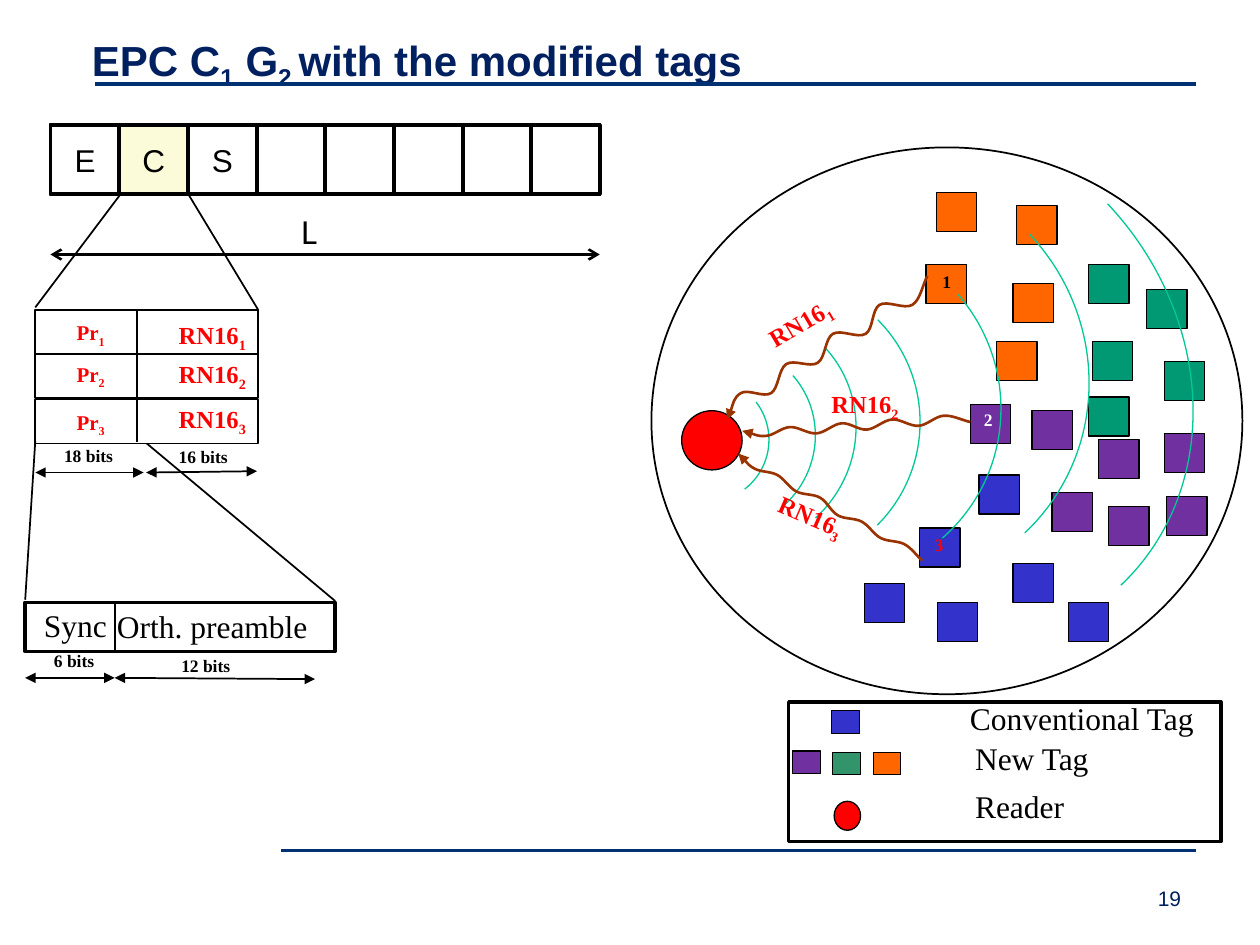
"""Build the slide on EPC C1 G2 with the modified tags."""
from dataclasses import dataclass

import pptx
import pptx.dml.color
import pptx.enum.shapes
import pptx.enum.text
import pptx.oxml.ns
import pptx.util
from lxml import etree

Inches = pptx.util.Inches
Pt = pptx.util.Pt
Shape = pptx.enum.shapes.MSO_SHAPE
Align = pptx.enum.text.PP_ALIGN
Anchor = pptx.enum.text.MSO_ANCHOR
qn = pptx.oxml.ns.qn

SERIF = "Times New Roman"
BLACK, WHITE, RED = "000000", "FFFFFF", "FF0000"
NAVY, RULE_BLUE = "002060", "003173"
ORANGE, GREEN, PURPLE, BLUE = "FF6600", "009973", "7030A0", "3333CC"
LEGEND_GREEN, ARC_GREEN, WAVE_BROWN, CREAM = "32946A", "00C896", "993300", "FCFBD9"


@dataclass
class Label:
    """Text whose every second part, split at underscores, is a subscript."""
    text: str
    left: float
    top: float
    width: float
    height: float
    size: float = 10
    color: str = BLACK
    bold: bool = True
    font: str = SERIF
    wrap: bool = False
    rotation: float = 0


@dataclass
class Line:
    start: tuple
    end: tuple
    weight: float = 1
    color: str = BLACK
    arrow: str = ""


def rgb(value: str):
    return pptx.dml.color.RGBColor.from_string(value)


def write(frame, text: str, size: float, color: str, font: str, bold: bool) -> None:
    paragraph = frame.paragraphs[0]
    for index, part in enumerate(text.split("_")):
        run = paragraph.add_run()
        run.text = part
        run.font.size, run.font.name, run.font.bold = Pt(size), font, bold
        run.font.color.rgb = rgb(color)
        if index % 2:
            run._r.get_or_add_rPr().set("baseline", "-25000")


def add_label(shapes, label: Label) -> None:
    box = shapes.add_textbox(*map(Inches, (label.left, label.top, label.width, label.height)))
    box.rotation = label.rotation
    box.text_frame.word_wrap = label.wrap
    box.text_frame.auto_size = pptx.enum.text.MSO_AUTO_SIZE.SHAPE_TO_FIT_TEXT
    write(box.text_frame, label.text, label.size, label.color, label.font, label.bold)


def paint(shape, fill: str, color: str, weight: float) -> None:
    shape.shadow.inherit = False
    if fill:
        shape.fill.solid()
        shape.fill.fore_color.rgb = rgb(fill)
    else:
        shape.fill.background()
    shape.line.color.rgb = rgb(color)
    shape.line.width = Pt(weight)


def add_figure(shapes, kind, bounds: tuple, fill: str = "", color: str = BLACK,
               weight: float = 0.75):
    figure = shapes.add_shape(kind, *map(Inches, bounds))
    paint(figure, fill, color, weight)
    return figure


def add_arrowheads(shape, kind: str, ends: tuple) -> None:
    outline = shape.line._get_or_add_ln()
    for end in ends:
        etree.SubElement(outline, qn(f"a:{end}")).set("type", kind)


def add_line(shapes, line: Line):
    connector = shapes.add_connector(pptx.enum.shapes.MSO_CONNECTOR.STRAIGHT,
                                     *map(Inches, line.start + line.end))
    connector.line.color.rgb = rgb(line.color)
    connector.line.width = Pt(line.weight)
    if line.arrow:
        add_arrowheads(connector, line.arrow, ("headEnd", "tailEnd"))
    etree.SubElement(connector._element.spPr, qn("a:effectLst"))
    return connector


def add_wave(shapes, knots: list) -> None:
    """Draw a smooth arrow through the knots as a Catmull-Rom spline."""
    def mirrored(end: tuple, inner: tuple) -> tuple:
        return tuple(2 * a - b for a, b in zip(end, inner))

    guide = [mirrored(knots[0], knots[1]), *knots, mirrored(knots[-1], knots[-2])]
    points = []
    for before, start, end, after in zip(guide, guide[1:], guide[2:], guide[3:]):
        points.append(tuple(s + (e - b) / 6 for b, s, e in zip(before, start, end)))
        points.append(tuple(e - (a - s) / 6 for s, e, a in zip(start, end, after)))
        points.append(end)
    builder = shapes.build_freeform(*map(Inches, knots[0]))
    builder.add_line_segments([tuple(map(Inches, point)) for point in points], close=False)
    wave = builder.convert_to_shape()
    outline = wave._element.xpath(".//a:path")[0]
    segments = outline.findall(qn("a:lnTo"))
    for index in range(0, len(segments), 3):
        curve = etree.SubElement(outline, qn("a:cubicBezTo"))
        for segment in segments[index:index + 3]:
            curve.append(segment[0])
            outline.remove(segment)
    paint(wave, "", WAVE_BROWN, 1.5)
    add_arrowheads(wave, "triangle", ("tailEnd",))


def add_heading(slide) -> None:
    for line in (Line((0.75, 0.67), (9.49, 0.67), 2.25, RULE_BLUE),
                 Line((2.23, 6.75), (9.49, 6.75), 2.25, RULE_BLUE)):
        add_line(slide.shapes, line)
    add_label(slide.shapes, Label("19", 9.09, 6.98, 0.71, 0.3, 12, NAVY, False, "Arial", True))
    title = slide.shapes.title
    title.left, title.top, title.width, title.height = map(Inches, (0.63, 0.22, 9, 0.8))
    title.text_frame.vertical_anchor = Anchor.TOP
    title.text_frame.paragraphs[0].alignment = Align.LEFT
    write(title.text_frame, "EPC C_1_ G_2 _with the modified tags", 24, NAVY, "Arial", True)


def add_field(shapes) -> None:
    """Draw the reader, its range, the tags and the replies."""
    add_figure(shapes, Shape.OVAL, (5.17, 1.17, 4.69, 4.34), weight=1)
    add_figure(shapes, Shape.OVAL, (5.41, 3.26, 0.48, 0.47), RED)
    tags = {
        ORANGE: [(8.07, 1.63), (7.35, 2.1), (8.04, 2.25), (7.91, 2.71), (7.43, 1.53)],
        GREEN: [(8.64, 2.1), (8.64, 3.15), (9.1, 2.3), (9.24, 2.87), (8.67, 2.71)],
        PURPLE: [(7.7, 3.21), (8.19, 3.26), (9.24, 3.44), (8.35, 3.91), (8.72, 3.49),
                 (8.8, 4.02), (9.26, 3.94)],
        BLUE: [(7.77, 3.77), (8.04, 4.47), (7.3, 4.19), (8.48, 4.78), (6.86, 4.63),
               (7.44, 4.78)],
    }
    for color, corners in tags.items():
        for corner in corners:
            add_figure(shapes, Shape.RECTANGLE, corner + (0.32, 0.31), color)
    for *bounds, rotation in (
            (5.12, 3, 0.98, 0.99, 52.1), (5.01, 2.73, 1.45, 1.49, 48.5),
            (4.9, 2.45, 1.88, 1.93, 47.8), (5, 2.2, 2.3, 2.31, 45),
            (5.2, 1.87, 2.75, 2.73, 48.9), (5.27, 1.34, 3.4, 3.3, 46.8),
            (5.06, 0.99, 4.55, 4, 46.7)):
        add_figure(shapes, Shape.ARC, bounds, color=ARC_GREEN).rotation = rotation
    for knots in (
            [(7.36, 2.19), (7.24, 2.42), (6.98, 2.42), (6.87, 2.65), (6.61, 2.65),
             (6.49, 2.88), (6.24, 2.89), (6.12, 3.12), (5.88, 3.12), (5.77, 3.33)],
            [(7.32, 4.45), (7.18, 4.32), (6.99, 4.27), (6.84, 4.14), (6.65, 4.09),
             (6.51, 3.95), (6.32, 3.9), (6.17, 3.77), (5.99, 3.72), (5.86, 3.6)],
            [(7.7, 3.35), (7.49, 3.3), (7.29, 3.38), (7.08, 3.33), (6.88, 3.41),
             (6.68, 3.36), (6.48, 3.44), (6.27, 3.39), (6.08, 3.46), (5.89, 3.42)]):
        add_wave(shapes, knots)
    for label in (Label("1", 7.38, 2.1, 0.28, 0.27),
                  Label("3", 7.32, 4.19, 0.28, 0.27, color=RED),
                  Label("2", 7.71, 3.2, 0.28, 0.27, color=WHITE),
                  Label("RN16_2", 6.5, 3.04, 0.75, 0.34, 14, RED),
                  Label("RN16_1", 5.98, 2.39, 0.75, 0.34, 14, RED, rotation=329.4),
                  Label("RN16_3", 6.07, 3.93, 0.75, 0.34, 14, RED, rotation=23.2)):
        add_label(shapes, label)


def add_frame(shapes) -> None:
    """Draw the frame of L slots."""
    add_figure(shapes, Shape.RECTANGLE, (0.4, 0.99, 4.36, 0.55), weight=2)
    for index, letter in enumerate(("E", "C", "S", "", "", "", "", "")):
        slot = add_figure(shapes, Shape.RECTANGLE, (0.4 + 0.545 * index, 0.99, 0.55, 0.55),
                          CREAM if letter == "C" else "", weight=2)
        if letter:
            slot.text_frame.vertical_anchor = Anchor.MIDDLE
            slot.text_frame.paragraphs[0].alignment = Align.CENTER
            write(slot.text_frame, letter, 18, BLACK, "Arial", False)
    add_line(shapes, Line((0.4, 2.02), (4.76, 2.02), 1.5, arrow="arrow"))
    add_label(shapes, Label("L", 2.29, 1.64, 0.34, 0.4, 18, bold=False, font="Lato"))


def add_reply_details(shapes) -> None:
    """Draw the three replies and the parts of a preamble."""
    for number, (top, code_top, preamble_top) in enumerate(
            ((2.46, 2.49, 2.49), (2.81, 2.8, 2.82), (3.17, 3.16, 3.2)), 1):
        reply = add_figure(shapes, Shape.RECTANGLE, (0.28, top, 1.77, 0.35), weight=1)
        add_label(shapes, Label(f"RN16_{number}", 1.32, code_top, 0.75, 0.34, 14, RED))
        add_label(shapes, Label(f"Pr_{number}", 0.51, preamble_top, 0.44, 0.3, 12, RED))
    add_line(shapes, Line((1.16, 3.51), (2.66, 4.77))).begin_connect(reply, 2)
    add_figure(shapes, Shape.RECTANGLE, (0.2, 4.78, 2.46, 0.39), weight=2)
    for start, end in (((1.5, 1.55), (2.05, 2.46)), ((0.95, 1.55), (0.28, 2.44)),
                       ((1.09, 2.46), (1.09, 3.51)), ((0.28, 3.5), (0.2, 4.76)),
                       ((0.91, 4.78), (0.91, 5.17))):
        add_line(shapes, Line(start, end))
    for start, end in (((0.28, 3.75), (1.14, 3.75)), ((1.16, 3.75), (2.04, 3.74)),
                       ((0.2, 5.38), (0.91, 5.38)), ((0.91, 5.38), (2.5, 5.39))):
        add_line(shapes, Line(start, end, arrow="triangle"))
    for label in (Label("18 bits", 0.41, 3.48, 0.59, 0.27),
                  Label("16 bits", 1.32, 3.49, 0.59, 0.27),
                  Label("6 bits", 0.33, 5.11, 0.52, 0.27),
                  Label("12 bits", 1.34, 5.15, 0.59, 0.27),
                  Label("Sync", 0.25, 4.76, 0.71, 0.4, 18, bold=False),
                  Label("Orth. preamble", 0.83, 4.77, 1.82, 0.4, 18, bold=False, wrap=True)):
        add_label(shapes, label)


def add_legend(shapes) -> None:
    for text, left, top, width in (("Reader", 7.64, 6.2, 1.78),
                                   ("Conventional Tag", 7.6, 5.5, 2.13),
                                   ("New Tag", 7.64, 5.82, 1.92)):
        add_label(shapes, Label(text, left, top, width, 0.4, 18, bold=False, wrap=True))
    for left, top, color in ((6.6, 5.64, BLUE), (6.29, 5.96, PURPLE),
                             (6.61, 5.97, LEGEND_GREEN), (6.93, 5.97, ORANGE)):
        add_figure(shapes, Shape.RECTANGLE, (left, top, 0.22, 0.18), color)
    add_figure(shapes, Shape.OVAL, (6.62, 6.36, 0.21, 0.23), RED)
    add_figure(shapes, Shape.RECTANGLE, (6.26, 5.57, 3.43, 1.11), weight=2)


def main() -> None:
    deck = pptx.Presentation()
    deck.slide_width, deck.slide_height = Inches(10), Inches(7.5)
    slide = deck.slides.add_slide(deck.slide_layouts[5])
    add_heading(slide)
    add_field(slide.shapes)
    add_frame(slide.shapes)
    add_reply_details(slide.shapes)
    add_legend(slide.shapes.add_group_shape().shapes)
    deck.save("out.pptx")


if __name__ == "__main__":
    main()
